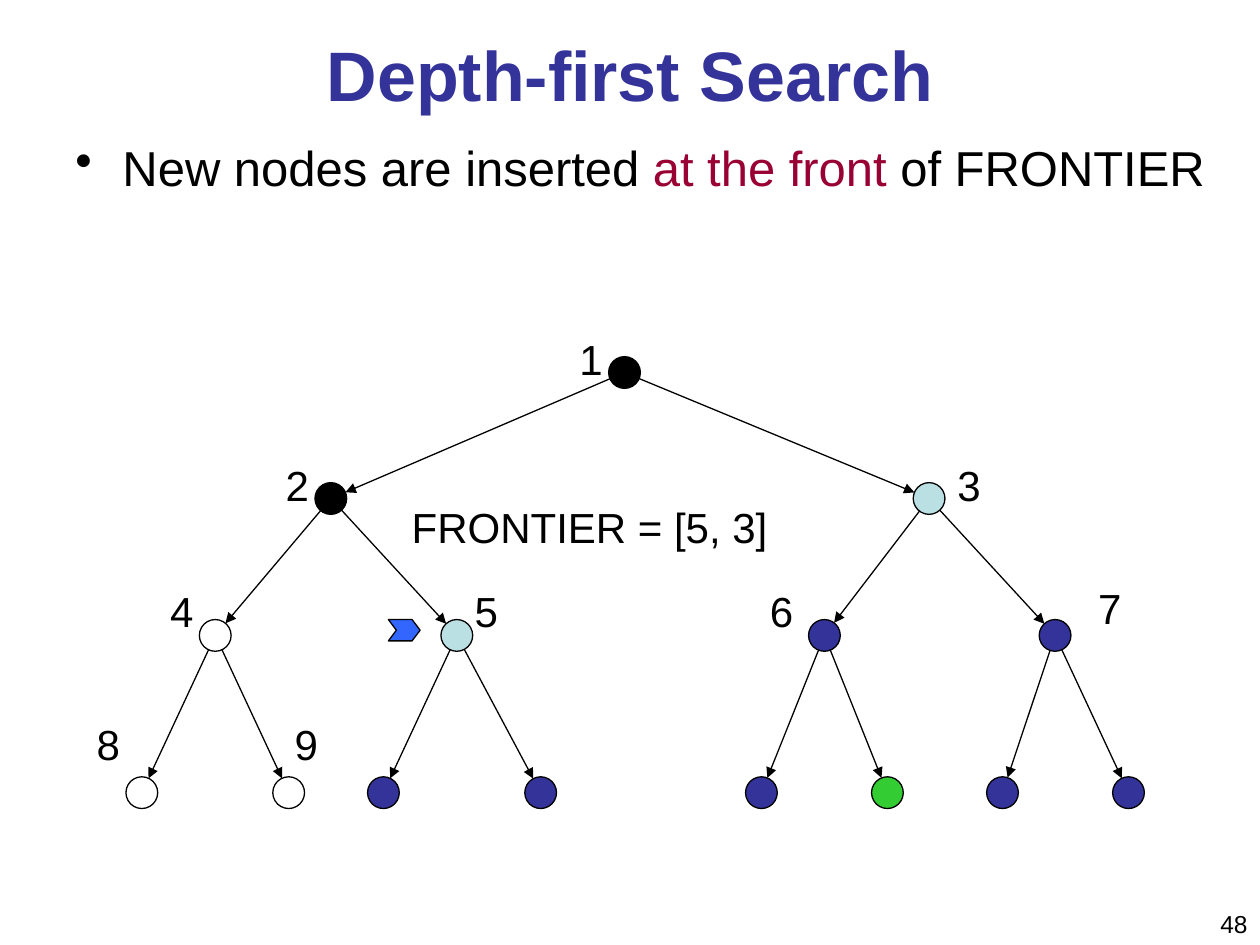
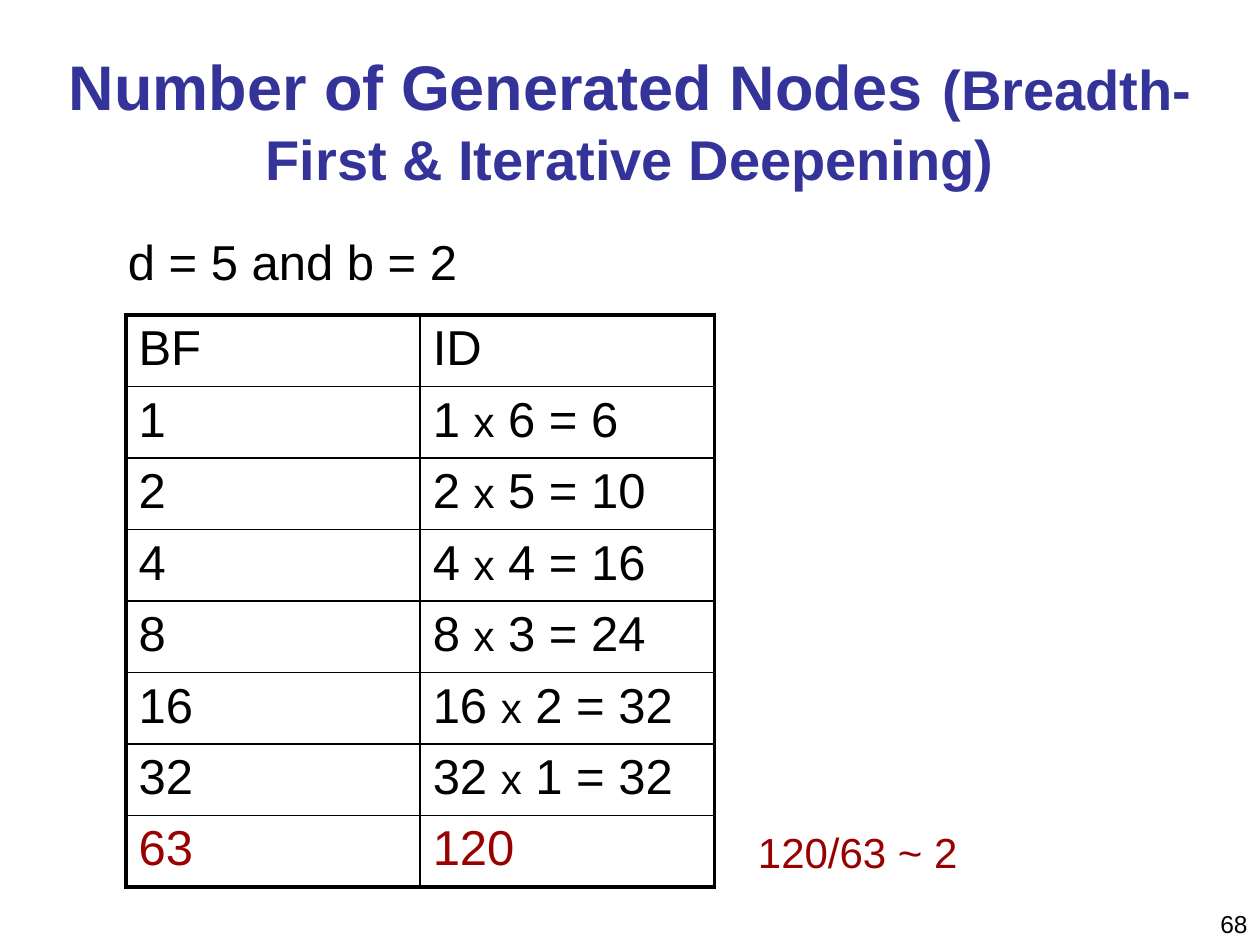
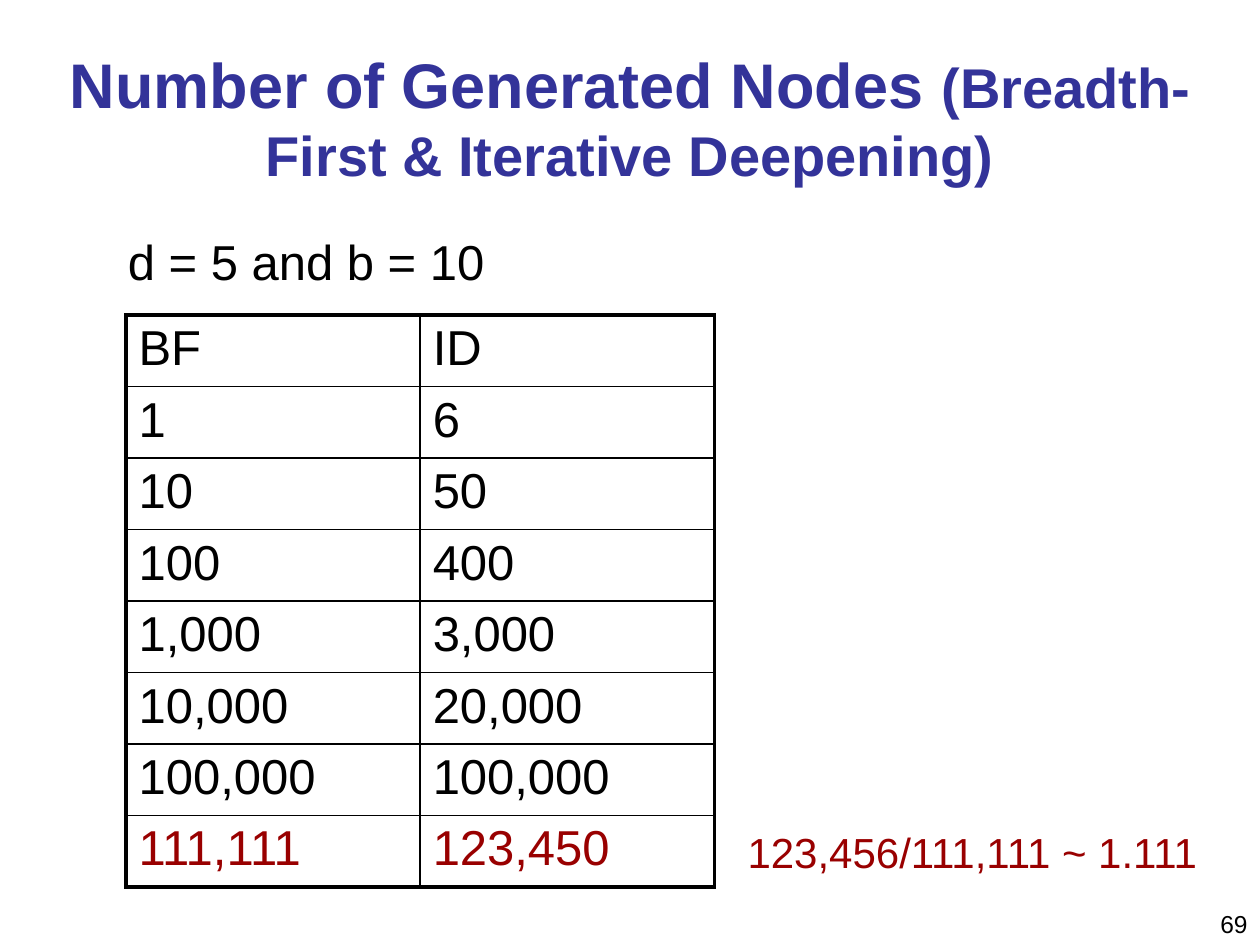
from math import hypot

from lxml import etree
from pptx import Presentation
from pptx import util as u
from pptx.dml.color import RGBColor
from pptx.enum import shapes, text
from pptx.oxml import ns

FONT = "Arial"
BLACK, WHITE = "000000", "FFFFFF"
NAVY, PALE, GREEN, BLUE = "333399", "BBE0E3", "33CC33", "3366FF"
CRIMSON, DARK_RED = "990033", "990000"
ALIGN = text.PP_ALIGN
RADIUS = 0.32

NODE_X = [12.59, 6.67, 18.73, 4.34, 9.21, 16.62, 21.27,
          2.86, 5.82, 7.73, 10.9, 15.35, 17.89, 20.21, 22.75]
LEVEL_Y = [7.51, 10.05, 12.81, 15.98]
NODE_FILLS = [BLACK, BLACK, PALE, WHITE, PALE, NAVY, NAVY,
              WHITE, WHITE, NAVY, NAVY, NAVY, GREEN, NAVY, NAVY]
NUMBER_SPOTS = [(11.43, 6.6), (5.51, 9.14), (19.05, 9.14), (3.18, 11.68), (9.32, 11.68),
                (15.27, 11.68), (21.89, 11.61), (1.7, 14.35), (5.69, 14.35)]

SMALL_COUNTS = [("BF", "ID"), ("1", "1 x 6 = 6"), ("2", "2 x 5 = 10"), ("4", "4 x 4 = 16"),
                ("8", "8 x 3 = 24"), ("16", "16 x 2 = 32"), ("32", "32 x 1 = 32"), ("63", "120")]
LARGE_COUNTS = [("BF", "ID"), ("1", "6"), ("10", "50"), ("100", "400"), ("1,000", "3,000"),
                ("10,000", "20,000"), ("100,000", "100,000"), ("111,111", "123,450")]


def rgb(code):
    """Turn a hex string into a colour."""
    return RGBColor.from_string(code)


def cm(*lengths):
    """Turn numbers into centimetre lengths."""
    return [u.Cm(length) for length in lengths]


def add_xml(parent, tag, **attributes):
    """Append a DrawingML element and return it."""
    return etree.SubElement(parent, ns.qn(tag), attributes)


def write(frame, runs, size=28, color=BLACK, bold=False, align=ALIGN.LEFT, bullet=False):
    """Write a paragraph of (text, overrides) runs, or of one plain string."""
    paragraph = frame.paragraphs[0]
    paragraph.alignment = align
    if bullet:
        properties = paragraph._p.get_or_add_pPr()
        properties.set("marL", str(u.Cm(0.95)))
        properties.set("indent", str(u.Cm(-0.95)))
        add_xml(properties, "a:buChar", char="•")
    for words, changes in [(runs, {})] if isinstance(runs, str) else runs:
        run = paragraph.add_run()
        run.text = words
        run.font.name = FONT
        run.font.bold = bold
        run.font.size = u.Pt(changes.get("size", size))
        run.font.color.rgb = rgb(changes.get("color", color))


def add_text(slide, box, runs, wrap=True, middle=False, **style):
    """Place a text box."""
    frame = slide.shapes.add_textbox(*cm(*box)).text_frame
    frame.word_wrap = wrap
    frame.vertical_anchor = text.MSO_ANCHOR.MIDDLE if middle else text.MSO_ANCHOR.TOP
    write(frame, runs, **style)


def add_page(deck, number, title, title_box, title_size):
    """Add a blank slide with its title and page number."""
    slide = deck.slides.add_slide(deck.slide_layouts[6])
    add_text(slide, (24.13, 18.21, 1.27, 0.84), str(number), size=14, align=ALIGN.RIGHT)
    add_text(slide, title_box, title, middle=True, size=title_size, color=NAVY,
             bold=True, align=ALIGN.CENTER)
    return slide


def add_figure(slide, kind, box, fill):
    """Draw a filled shape with a thin black outline."""
    figure = slide.shapes.add_shape(kind, *cm(*box))
    figure.shadow.inherit = False
    figure.fill.solid()
    figure.fill.fore_color.rgb = rgb(fill)
    figure.line.color.rgb = rgb(BLACK)
    figure.line.width = u.Pt(0.75)
    return figure


def add_edge(slide, parent, child):
    """Draw an arrow from the rim of one node to the rim of another."""
    (x1, y1), (x2, y2) = parent, child
    share = RADIUS / hypot(x2 - x1, y2 - y1)
    dx, dy = (x2 - x1) * share, (y2 - y1) * share
    edge = slide.shapes.add_connector(shapes.MSO_CONNECTOR.STRAIGHT,
                                      *cm(x1 + dx, y1 + dy, x2 - dx, y2 - dy))
    edge.line.color.rgb = rgb(BLACK)
    edge.line.width = u.Pt(0.75)
    add_xml(edge.line._get_or_add_ln(), "a:tailEnd", type="triangle")
    add_xml(edge._element.spPr, "a:effectLst")


def add_tree(slide):
    """Draw the binary search tree, level by level."""
    nodes = [(x, LEVEL_Y[i.bit_length() - 1]) for i, x in enumerate(NODE_X, 1)]
    for i, child in enumerate(nodes[1:], 2):
        add_edge(slide, nodes[i // 2 - 1], child)
    for (x, y), fill in zip(nodes, NODE_FILLS):
        add_figure(slide, shapes.MSO_SHAPE.OVAL,
                   (x - RADIUS, y - RADIUS, 2 * RADIUS, 2 * RADIUS), fill)
    for number, spot in enumerate(NUMBER_SPOTS, 1):
        add_text(slide, (*spot, 1, 1.27), str(number), wrap=False, size=24)


def add_border(cell, side, width):
    """Draw one black border of a cell."""
    border = add_xml(cell._tc.get_or_add_tcPr(), f"a:ln{side}", w=str(u.Pt(width)))
    add_xml(add_xml(border, "a:solidFill"), "a:srgbClr", val=BLACK)


def add_counts(slide, counts):
    """Add the table of node counts, with its totals in red."""
    last_row, last_column = len(counts) - 1, len(counts[0]) - 1
    table = slide.shapes.add_table(last_row + 1, last_column + 1,
                                   *cm(2.54, 6.35, 11.86, 11.28)).table
    table.first_row = table.horz_banding = False
    for r, values in enumerate(counts):
        table.rows[r].height = u.Cm(1.41)
        for c, value in enumerate(values):
            cell = table.cell(r, c)
            outer = {"L": c == 0, "R": c == last_column, "T": r == 0, "B": r == last_row}
            for side, is_outer in outer.items():
                add_border(cell, side, 2.25 if is_outer else 1)
            cell.fill.background()
            before, times, after = value.partition("x")
            runs = [(before, {}), (times, {"size": 24}), (after, {})] if times else value
            write(cell.text_frame, runs, color=DARK_RED if r == last_row else BLACK)


def add_search_page(deck):
    """Build the depth-first search slide."""
    slide = add_page(deck, 48, "Depth-first Search", (0.42, 0.21, 24.56, 2.54), 40)
    rule = [("New nodes are inserted ", {}), ("at the front", {"color": CRIMSON}),
            (" of FRONTIER", {})]
    add_text(slide, (1.27, 2.64, 23.5, 14.48), rule, align=ALIGN.JUSTIFY, bullet=True)
    add_tree(slide)
    pointer = add_figure(slide, shapes.MSO_SHAPE.CHEVRON, (7.83, 12.49, 0.64, 0.43), BLUE)
    pointer.adjustments[0] = 0.375
    add_text(slide, (8.05, 9.98, 7.75, 1.27), "FRONTIER = [5, 3]", wrap=False, size=24)


def add_counts_page(deck, number, gap_size, case, counts, ratio, ratio_box):
    """Build a slide that compares generated node counts."""
    title = [("Number of Generated Nodes", {}), (" ", {"size": gap_size}),
             ("(Breadth-First & Iterative Deepening)", {"size": 32})]
    slide = add_page(deck, number, title, (0.64, 0.76, 24.13, 3.18), 36)
    add_text(slide, (2.33, 4.55, 21.59, 1.5), case, align=ALIGN.JUSTIFY)
    add_counts(slide, counts)
    add_text(slide, ratio_box, ratio, wrap=False, size=24, color=DARK_RED)


def main():
    """Build and save the three slides."""
    deck = Presentation()
    deck.slide_width, deck.slide_height = cm(25.4, 19.05)
    add_search_page(deck)
    add_counts_page(deck, 68, 40, "d = 5 and b = 2", SMALL_COUNTS,
                    "120/63 ~ 2", (15.03, 16.54, 4.57, 1.27))
    add_counts_page(deck, 69, 36, "d = 5 and b = 10", LARGE_COUNTS,
                    "123,456/111,111 ~ 1.111", (14.82, 16.54, 9.68, 1.27))
    deck.save("out.pptx")


if __name__ == "__main__":
    main()
